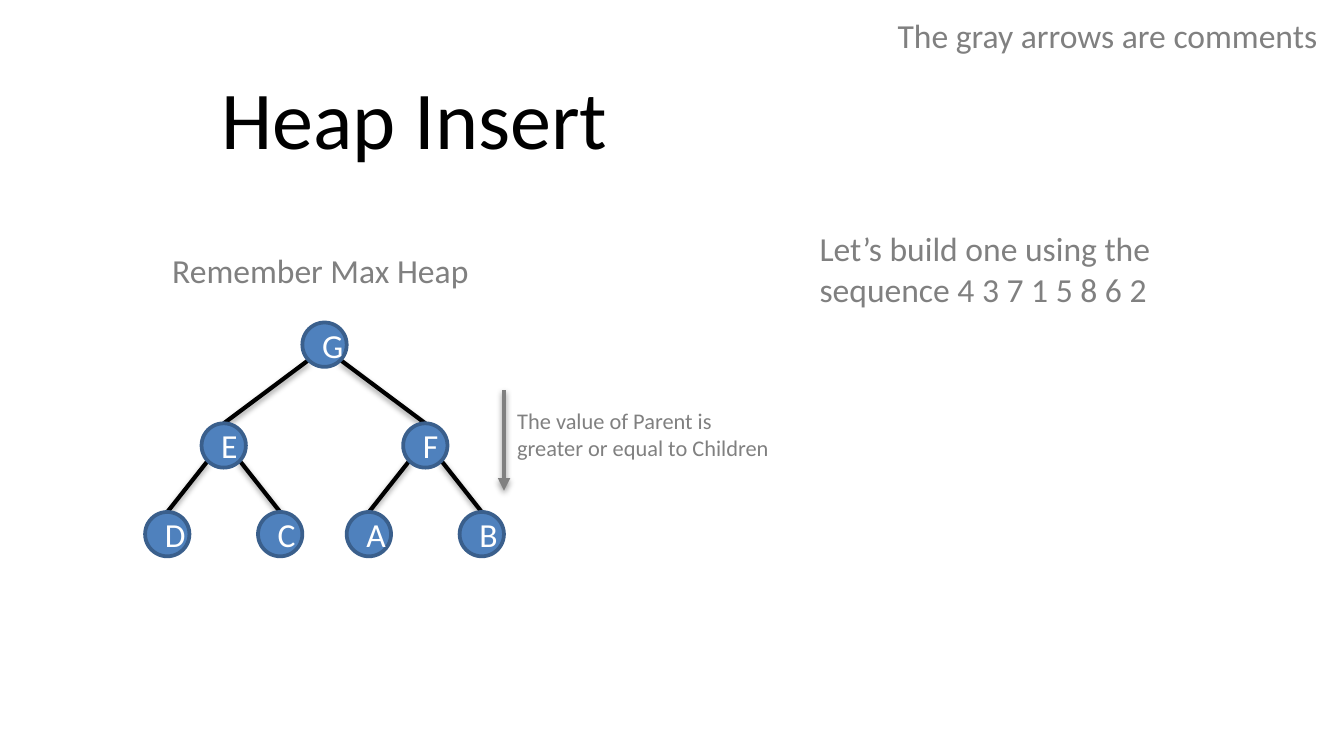
"""Build the Heap Insert slide with a labelled max-heap tree."""
from typing import NamedTuple, Optional

from lxml import etree
from pptx import Presentation, util as u
from pptx.dml import color
from pptx.enum import shapes, text
from pptx.oxml import ns

BLACK = color.RGBColor(0x00, 0x00, 0x00)
WHITE = color.RGBColor(0xFF, 0xFF, 0xFF)
GRAY = color.RGBColor(0x80, 0x80, 0x80)
NODE_FILL = color.RGBColor(0x4F, 0x81, 0xBD)
NODE_LINE = color.RGBColor(0x3A, 0x5F, 0x8C)
FONT = "Calibri"
SLIDE_WIDTH = 10
SLIDE_HEIGHT = SLIDE_WIDTH * 9 / 16
DIAMETER = 0.33
CORNER_DX, CORNER_DY = 0.12, 0.28
LEFT, CENTER = text.PP_ALIGN.LEFT, text.PP_ALIGN.CENTER


class Node(NamedTuple):
    label: str
    left: float
    top: float
    parent: Optional[str] = None

    @property
    def middle(self) -> float:
        return self.left + DIAMETER / 2


class Label(NamedTuple):
    content: str
    box: tuple[float, float, float, float]
    size: int = 18
    fill: color.RGBColor = GRAY
    align: text.PP_ALIGN = LEFT
    anchor: text.MSO_ANCHOR = text.MSO_ANCHOR.TOP
    grow: bool = True
    wrap: bool = True


NODES = [
    Node("G", 2.25, 2.4),
    Node("E", 1.5, 3.15, "G"),
    Node("F", 3, 3.15, "G"),
    Node("D", 1.08, 3.81, "E"),
    Node("C", 1.92, 3.81, "E"),
    Node("A", 2.58, 3.81, "F"),
    Node("B", 3.42, 3.81, "F"),
]

LABELS = [
    Label("Heap Insert", (1.25, 0.4, 3.67, 0.94), size=44, fill=BLACK,
          align=CENTER, anchor=text.MSO_ANCHOR.MIDDLE, grow=False),
    Label("The gray arrows are comments", (6.58, 0.06, 3.36, 0.4)),
    Label("Let’s build one using the sequence 4 3 7 1 5 8 6 2",
          (6, 1.65, 3.36, 0.71)),
    Label("Remember Max Heap", (1.17, 1.81, 2.43, 0.4), align=CENTER, wrap=False),
    Label("The value of Parent is\ngreater or equal to Children",
          (3.75, 2.98, 2.42, 0.5), size=12),
]


def write(tf, content: str, *, size: int, fill: color.RGBColor,
          align=LEFT, anchor=text.MSO_ANCHOR.MIDDLE, wrap: bool = True) -> None:
    tf.word_wrap = wrap
    tf.vertical_anchor = anchor
    for i, line in enumerate(content.split("\n")):
        p = tf.add_paragraph() if i else tf.paragraphs[0]
        p.alignment = align
        r = p.add_run()
        r.text = line
        r.font.name, r.font.size = FONT, u.Pt(size)
        r.font.color.rgb = fill


def add_label(s, label: Label) -> None:
    sp = s.shapes.add_textbox(*map(u.Inches, label.box))
    write(sp.text_frame, label.content, size=label.size, fill=label.fill,
          align=label.align, anchor=label.anchor, wrap=label.wrap)
    if label.grow:
        sp.text_frame.auto_size = text.MSO_AUTO_SIZE.SHAPE_TO_FIT_TEXT


def add_node(s, node: Node) -> None:
    sp = s.shapes.add_shape(shapes.MSO_SHAPE.OVAL, u.Inches(node.left),
                            u.Inches(node.top), u.Inches(DIAMETER), u.Inches(DIAMETER))
    sp.shadow.inherit = False
    sp.fill.solid()
    sp.fill.fore_color.rgb = NODE_FILL
    sp.line.color.rgb, sp.line.width = NODE_LINE, u.Pt(2)
    write(sp.text_frame, node.label, size=18, fill=WHITE, align=CENTER)


def add_line(s, x1: float, y1: float, x2: float, y2: float,
             fill: color.RGBColor, arrow: bool = False) -> None:
    sp = s.shapes.add_connector(shapes.MSO_CONNECTOR.STRAIGHT,
                                *map(u.Inches, (x1, y1, x2, y2)))
    sp.line.color.rgb, sp.line.width = fill, u.Pt(2.25)
    props = sp.element.spPr
    if arrow:
        etree.SubElement(props.find(ns.qn("a:ln")), ns.qn("a:headEnd"), type="triangle")
    effects = etree.SubElement(props, ns.qn("a:effectLst"))
    shadow = etree.SubElement(effects, ns.qn("a:outerShdw"), blurRad="40000",
                              dist="20000", dir="5400000", rotWithShape="0")
    tint = etree.SubElement(shadow, ns.qn("a:srgbClr"), val=str(BLACK))
    etree.SubElement(tint, ns.qn("a:alpha"), val="38000")


def add_edge(s, child: Node, parent: Node) -> None:
    side = 1 if child.left > parent.left else -1
    add_line(s, child.middle, child.top, parent.middle + side * CORNER_DX,
             parent.top + CORNER_DY, BLACK)


def main() -> None:
    prs = Presentation()
    prs.slide_width, prs.slide_height = u.Inches(SLIDE_WIDTH), u.Inches(SLIDE_HEIGHT)
    s = prs.slides.add_slide(prs.slide_layouts[6])
    by_label = {node.label: node for node in NODES}
    for node in NODES:
        if node.parent:
            add_edge(s, node, by_label[node.parent])
    for node in NODES:
        add_node(s, node)
    for label in LABELS:
        add_label(s, label)
    add_line(s, 3.75, 3.65, 3.75, 2.9, GRAY, arrow=True)
    prs.save("out.pptx")


if __name__ == "__main__":
    main()
